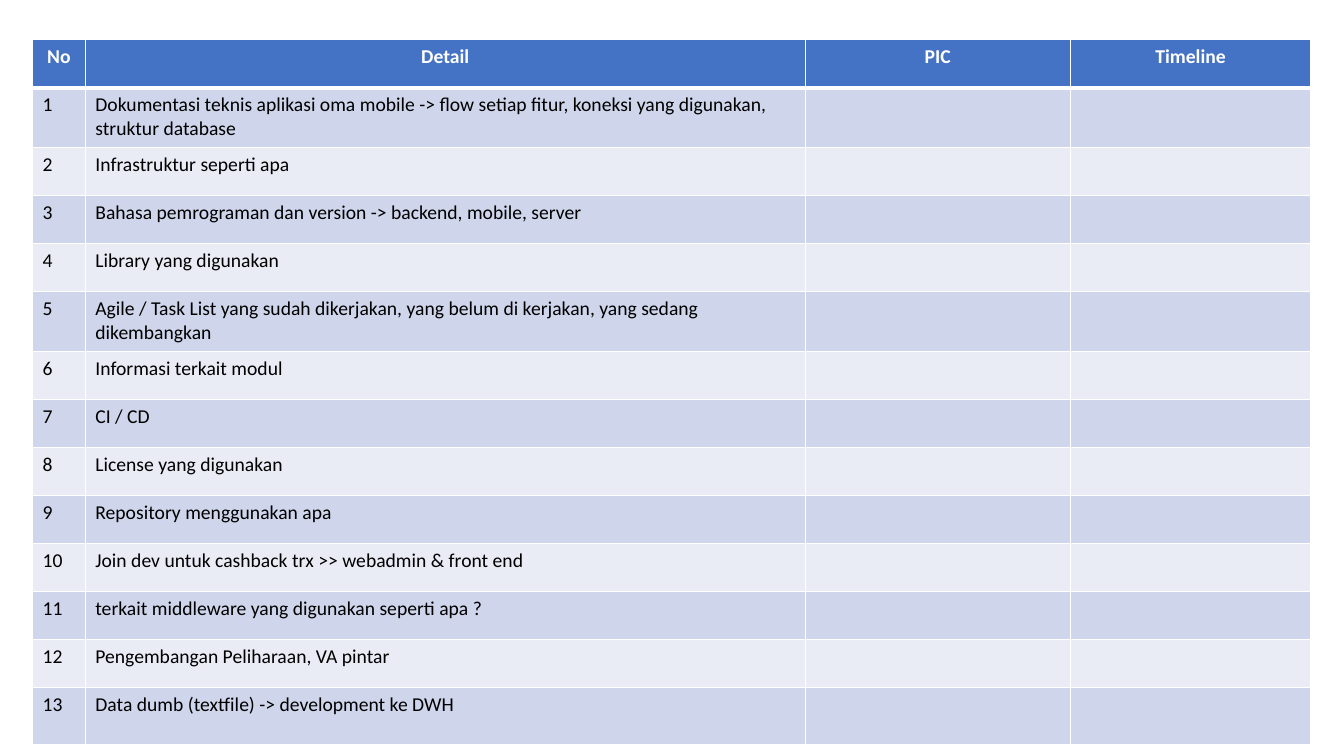
from lxml.etree import SubElement
from pptx import Presentation
from pptx.dml.color import RGBColor
from pptx.enum.text import PP_ALIGN as Align
from pptx.oxml.ns import qn
from pptx.util import Cm, Pt

COLORS = {
    "header": "4472C4",
    "odd": "CFD5EA",
    "even": "E9EBF5",
    "white": "FFFFFF",
    "text": "000000",
}
HEADINGS = ["No", "Detail", "PIC", "Timeline"]
DETAILS = [
    "Dokumentasi teknis aplikasi oma mobile -> flow setiap fitur, "
    "koneksi yang digunakan, struktur database",
    "Infrastruktur seperti apa",
    "Bahasa pemrograman dan version -> backend, mobile, server",
    "Library yang digunakan",
    "Agile / Task List yang sudah dikerjakan, yang belum di kerjakan, "
    "yang sedang dikembangkan",
    "Informasi terkait modul",
    "CI / CD",
    "License yang digunakan",
    "Repository menggunakan apa",
    "Join dev untuk cashback trx >> webadmin & front end",
    "terkait middleware yang digunakan seperti apa ?",
    "Pengembangan Peliharaan, VA pintar",
    "Data dumb (textfile) -> development ke DWH",
]
COLUMN_WIDTHS = [1.33, 18.14, 6.68, 6.07]
ROW_HEIGHT, TWO_LINE_HEIGHT, LAST_HEIGHT = 1.21, 1.51, 1.43
TWO_LINE_ROWS = (1, 5)


class SlideBuilder:
    def __init__(self, slide, font="Calibri", size=14):
        self.slide = slide
        self.font = font
        self.size = size

    def color(self, name):
        return RGBColor.from_string(COLORS[name])

    def borders(self, cell, **widths):
        properties = cell._tc.get_or_add_tcPr()
        for side in "LRTB":
            width = Pt(widths.get(side, 1))
            line = SubElement(properties, qn(f"a:ln{side}"), w=str(width))
            fill = SubElement(line, qn("a:solidFill"))
            SubElement(fill, qn("a:srgbClr"), val=COLORS["white"])

    def cell(self, cell, text, row):
        header = row == 0
        self.borders(cell, T=3 if row == 1 else 1, B=3 if header else 1)
        cell.fill.solid()
        fill = "header" if header else "odd" if row % 2 else "even"
        cell.fill.fore_color.rgb = self.color(fill)
        cell.text = text
        paragraph = cell.text_frame.paragraphs[0]
        paragraph.alignment = Align.CENTER if header else Align.LEFT
        paragraph.font.name = self.font
        paragraph.font.size = Pt(self.size)
        paragraph.font.bold = header
        paragraph.font.color.rgb = self.color("white" if header else "text")

    def table(self, left, top, widths, heights, rows):
        table = self.slide.shapes.add_table(
            len(rows), len(widths), Cm(left), Cm(top),
            Cm(sum(widths)), Cm(sum(heights))).table
        for column, width in zip(table.columns, widths):
            column.width = Cm(width)
        for index, (height, texts) in enumerate(zip(heights, rows)):
            table.rows[index].height = Cm(height)
            for cell, text in zip(table.rows[index].cells, texts):
                self.cell(cell, text, index)


presentation = Presentation()
presentation.slide_width = Cm(33.87)
presentation.slide_height = Cm(19.05)
slide = presentation.slides.add_slide(presentation.slide_layouts[6])

rows = [HEADINGS]
rows += [[str(number), detail, "", ""]
         for number, detail in enumerate(DETAILS, 1)]
heights = [TWO_LINE_HEIGHT if index in TWO_LINE_ROWS else ROW_HEIGHT
           for index in range(len(DETAILS))] + [LAST_HEIGHT]

SlideBuilder(slide).table(0.82, 1, COLUMN_WIDTHS, heights, rows)
presentation.save("out.pptx")
